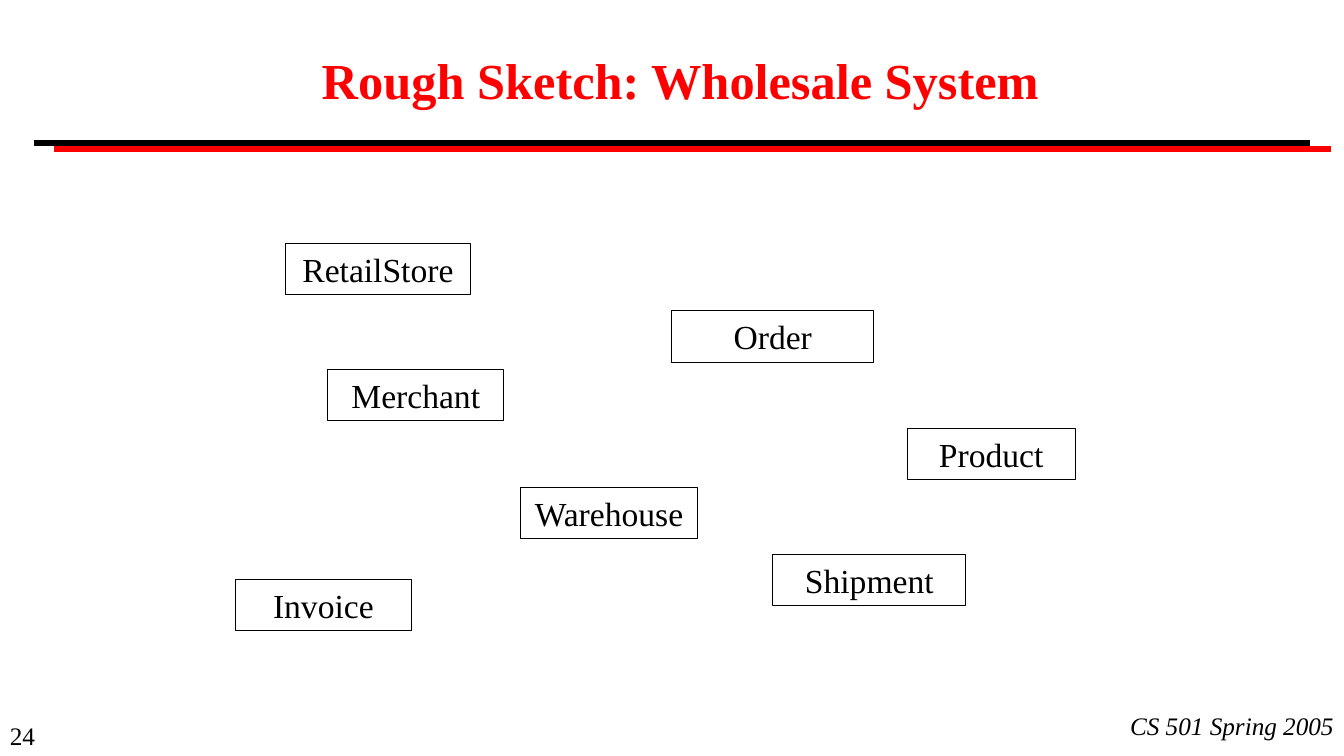
from lxml.etree import SubElement
from pptx import Presentation
from pptx.dml.color import RGBColor
from pptx.enum.shapes import MSO_CONNECTOR, MSO_SHAPE
from pptx.enum.text import MSO_ANCHOR, PP_ALIGN
from pptx.oxml.ns import qn
from pptx.util import Inches, Pt

BLACK, RED = "000000", "FF0000"
UNIT = Inches(1) // 12  # the slide is a grid of 160 by 90 units

deck = Presentation()
deck.slide_width, deck.slide_height = 160 * UNIT, 90 * UNIT
slide = deck.slides.add_slide(deck.slide_layouts[6])


def color(hex_code):
    return RGBColor.from_string(hex_code)


def write(shape, text, size, align, anchor, ink=BLACK, bold=False, italic=False):
    """Fill a shape with one styled line of text."""
    frame = shape.text_frame
    frame.word_wrap = True
    frame.vertical_anchor = anchor
    paragraph = frame.paragraphs[0]
    paragraph.alignment = align
    run = paragraph.add_run()
    run.text = text
    run.font.name = "Times New Roman"
    run.font.size = Pt(size)
    run.font.bold, run.font.italic = bold, italic
    run.font.color.rgb = color(ink)


# Double rule under the title
for start, end, height, ink in [(4, 156, 1.42, BLACK), (6.4, 158.4, 1.48, RED)]:
    rule = slide.shapes.add_connector(
        MSO_CONNECTOR.STRAIGHT,
        int(start * UNIT), Inches(height), int(end * UNIT), Inches(height))
    rule.line.color.rgb = color(ink)
    rule.line.width = Pt(4.5)
    SubElement(rule._element.spPr, qn("a:effectLst"))

# Footer and title
page_number = slide.shapes.add_textbox(0, Inches(7.1), Inches(1.22), Inches(0.4))
write(page_number, "24", 18, PP_ALIGN.LEFT, MSO_ANCHOR.TOP)

course = slide.shapes.add_textbox(Inches(9.22), 84 * UNIT, Inches(4.11), Inches(0.4))
write(course, "CS 501 Spring 2005", 18, PP_ALIGN.RIGHT, MSO_ANCHOR.TOP, italic=True)

title = slide.shapes.add_textbox(30 * UNIT, 2 * UNIT, 102 * UNIT, 15 * UNIT)
write(title, "Rough Sketch: Wholesale System", 36, PP_ALIGN.CENTER,
      MSO_ANCHOR.MIDDLE, ink=RED, bold=True)

# Candidate classes: name, column, row and width in grid units
candidate_classes = [
    ("RetailStore", 34, 29, 22),
    ("Warehouse", 62, 58, 21),
    ("Order", 80, 37, 24),
    ("Invoice", 28, 69, 21),
    ("Product", 108, 51, 20),
    ("Shipment", 92, 66, 23),
    ("Merchant", 39, 44, 21),
]
for name, column, row, width in candidate_classes:
    class_box = slide.shapes.add_shape(
        MSO_SHAPE.RECTANGLE, column * UNIT, row * UNIT, width * UNIT, Inches(0.51))
    class_box.shadow.inherit = False
    class_box.fill.background()
    class_box.line.color.rgb = color(BLACK)
    class_box.line.width = Pt(0.75)
    write(class_box, name, 24, PP_ALIGN.CENTER, MSO_ANCHOR.MIDDLE)

deck.save("out.pptx")
